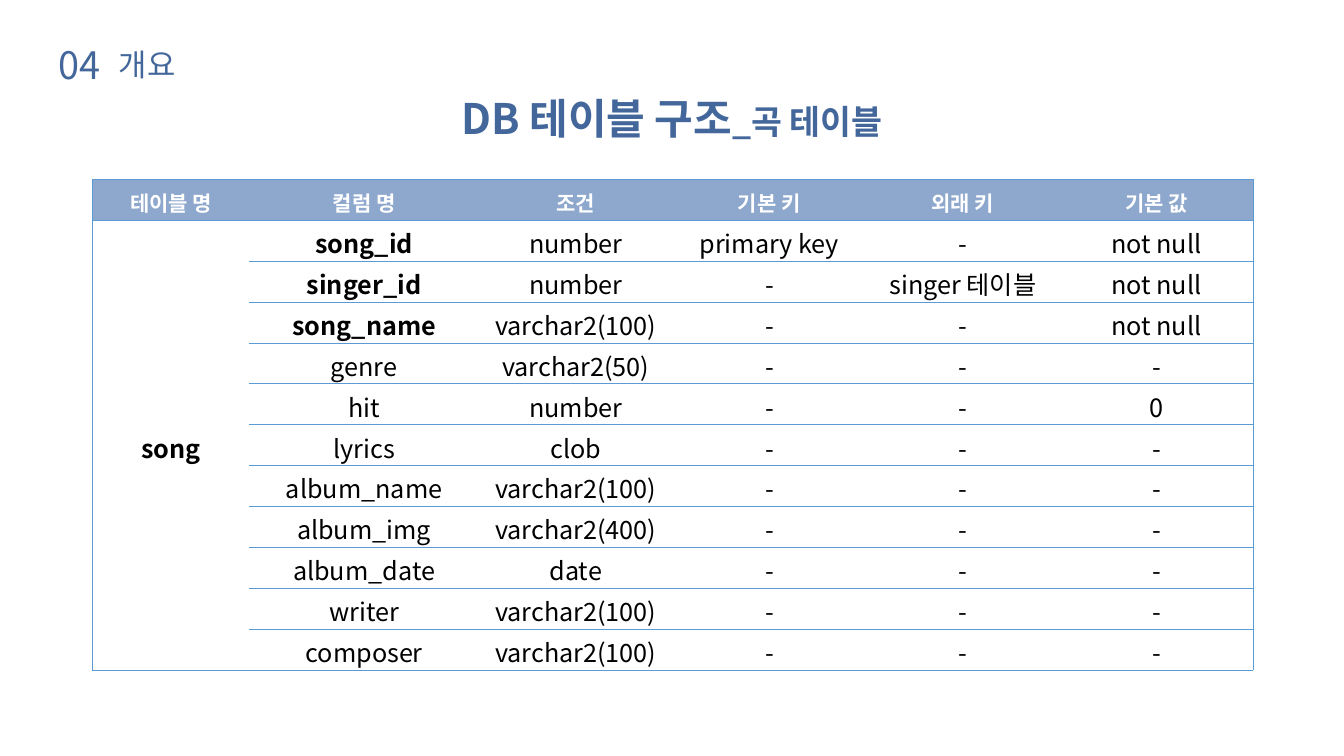
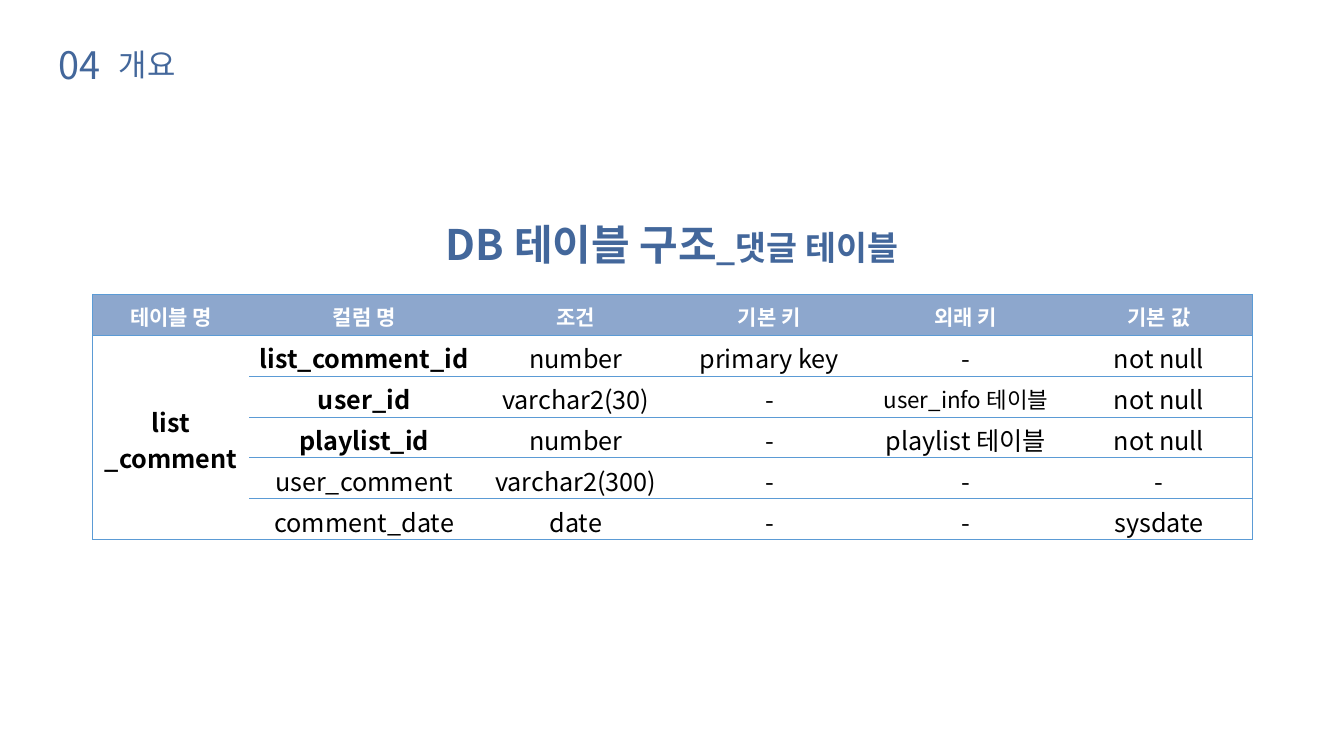
from dataclasses import dataclass

from lxml import etree
from pptx import Presentation
from pptx import util as u
from pptx.dml.color import RGBColor
from pptx.enum import text
from pptx.oxml import ns


@dataclass(frozen=True)
class Theme:
    font: str = "Noto Sans CJK KR"
    blue: str = "43679B"
    edge: str = "2B538E"
    band: str = "8DA7CD"
    rule: str = "5B9BD5"
    white: str = "FFFFFF"
    black: str = "000000"
    number: int = 27
    label: int = 22
    title: int = 30
    topic: int = 24
    head: int = 15
    body: int = 18
    small: int = 16


@dataclass(frozen=True)
class Box:
    left: float
    top: float
    width: float
    height: float


@dataclass(frozen=True)
class Field:
    name: str
    kind: str
    key: str = "-"
    link: str = "-"
    value: str = "-"
    bold: bool = False
    size: int = 18


@dataclass(frozen=True)
class Page:
    topic: str
    table: str
    top: float
    start: float
    widths: tuple[float, ...]
    fields: tuple[Field, ...]


THEME = Theme()
WIDTH, HEIGHT = u.Inches(13.33), u.Inches(7.5)
COL, ROW = WIDTH / 100, HEIGHT / 100
LEFT, STEP = 6.9, 5.41
HEADS = ("테이블 명", "컬럼 명", "조건", "기본 키", "외래 키", "기본 값")

PAGES = (
    Page("곡", "song", 12.27, 23.73, (11.65, 17.1, 14.4, 14.4, 14.4, 14.4), (
        Field("song_id", "number", key="primary key", value="not null", bold=True),
        Field("singer_id", "number", link="singer 테이블", value="not null", bold=True),
        Field("song_name", "varchar2(100)", value="not null", bold=True),
        Field("genre", "varchar2(50)"),
        Field("hit", "number", value="0"),
        Field("lyrics", "clob"),
        Field("album_name", "varchar2(100)"),
        Field("album_img", "varchar2(400)"),
        Field("album_date", "date"),
        Field("writer", "varchar2(100)"),
        Field("composer", "varchar2(100)"),
    )),
    Page("댓글", "list\n_comment", 28.93, 38.93, (11.65, 17.1, 14.4, 14.4, 14.85, 13.9), (
        Field("list_comment_id", "number", key="primary key", value="not null", bold=True),
        Field("user_id", "varchar2(30)", link="user_info 테이블", value="not null",
              bold=True, size=THEME.small),
        Field("playlist_id", "number", link="playlist 테이블", value="not null", bold=True),
        Field("user_comment", "varchar2(300)"),
        Field("comment_date", "date", value="sysdate"),
    )),
)


def across(cols: float) -> int:
    return round(cols * COL)


def down(rows: float) -> int:
    return round(rows * ROW)


def style(run, size: int, color: str, bold: bool = False) -> None:
    font = run.font
    font.size, font.bold, font.name = u.Pt(size), bold, THEME.font
    font.color.rgb = RGBColor.from_string(color)
    latin = run._r.get_or_add_rPr().find(ns.qn("a:latin"))
    east = etree.Element(ns.qn("a:ea"), typeface=THEME.font)
    latin.addnext(east)


def trim(run) -> None:
    line = etree.Element(ns.qn("a:ln"), w=str(u.Pt(0.75)))
    fill = etree.SubElement(line, ns.qn("a:solidFill"))
    color = etree.SubElement(fill, ns.qn("a:srgbClr"), val=THEME.edge)
    etree.SubElement(color, ns.qn("a:alpha"), val="20000")
    run._r.get_or_add_rPr().insert(0, line)


def place(shape, box: Box, wrap: bool = True):
    shape.left, shape.top = across(box.left), down(box.top)
    shape.width, shape.height = across(box.width), down(box.height)
    frame = shape.text_frame
    frame.word_wrap = wrap
    frame.auto_size = text.MSO_AUTO_SIZE.SHAPE_TO_FIT_TEXT
    frame.vertical_anchor = text.MSO_ANCHOR.TOP
    frame.margin_left = frame.margin_right = u.Inches(0.1)
    frame.margin_top = frame.margin_bottom = 0
    return frame


def add_label(slide, words: str, box: Box, size: int, wrap: bool) -> None:
    frame = place(slide.shapes.add_textbox(0, 0, 0, 0), box, wrap)
    frame.text = words
    run = frame.paragraphs[0].runs[0]
    style(run, size, THEME.blue)
    trim(run)


def add_title(slide, page: Page) -> None:
    frame = place(slide.shapes.title, Box(25.06, page.top, 49.88, 8.13))
    frame.text = "DB 테이블 구조"
    para = frame.paragraphs[0]
    para.alignment = text.PP_ALIGN.CENTER
    para.add_run().text = f"_{page.topic} 테이블"
    for run, size in zip(para.runs, (THEME.title, THEME.topic)):
        style(run, size, THEME.blue, True)
        trim(run)


def add_rules(cell, sides: str) -> None:
    props = cell._tc.get_or_add_tcPr()
    for side in "LRTB":
        line = etree.SubElement(props, ns.qn(f"a:ln{side}"), w=str(u.Pt(0.5)))
        if side in sides:
            fill = etree.SubElement(line, ns.qn("a:solidFill"))
            etree.SubElement(fill, ns.qn("a:srgbClr"), val=THEME.rule)
        else:
            etree.SubElement(line, ns.qn("a:noFill"))


def find_sides(row: int, col: int, last: int) -> str:
    sides = "L" if col == 0 else "R" if col == len(HEADS) - 1 else ""
    if col or row < 2:
        sides += "T"
    if col or row in (0, 1, last):
        sides += "B"
    return sides


def write(cell, words: str, size: int, color: str, bold: bool) -> None:
    cell.vertical_anchor = text.MSO_ANCHOR.MIDDLE
    cell.margin_top, cell.margin_bottom = u.Inches(0.04), 0
    cell.text_frame.text = words
    for para in cell.text_frame.paragraphs:
        para.alignment = text.PP_ALIGN.CENTER
        for run in para.runs:
            style(run, size, color, bold)


def add_grid(slide, page: Page) -> None:
    count = len(page.fields) + 1
    table = slide.shapes.add_table(
        count, len(HEADS), across(LEFT), down(page.start),
        across(sum(page.widths)), down(STEP * count)).table
    table.horz_banding = False
    for column, width in zip(table.columns, page.widths):
        column.width = across(width)
    for row in range(count):
        table.rows[row].height = down(STEP)
        for col in range(len(HEADS)):
            cell = table.cell(row, col)
            add_rules(cell, find_sides(row, col, count - 1))
            if row == 0:
                cell.fill.solid()
                cell.fill.fore_color.rgb = RGBColor.from_string(THEME.band)
            else:
                cell.fill.background()
    table.cell(1, 0).merge(table.cell(count - 1, 0))
    for col, head in enumerate(HEADS):
        write(table.cell(0, col), head, THEME.head, THEME.white, True)
    write(table.cell(1, 0), page.table, THEME.body, THEME.black, True)
    for row, field in enumerate(page.fields, 1):
        items = (field.name, field.kind, field.key, field.link, field.value)
        for col, item in enumerate(items, 1):
            size = field.size if item == field.link else THEME.body
            write(table.cell(row, col), item, size, THEME.black,
                  field.bold and col == 1)


def add_page(deck, page: Page) -> None:
    slide = deck.slides.add_slide(deck.slide_layouts[5])
    add_label(slide, "04", Box(3.6, 5.47, 5.18, 7.47), THEME.number, False)
    add_label(slide, "개요", Box(8.1, 6, 5.85, 6.27), THEME.label, True)
    add_title(slide, page)
    add_grid(slide, page)


def main() -> None:
    deck = Presentation()
    deck.slide_width, deck.slide_height = WIDTH, HEIGHT
    for page in PAGES:
        add_page(deck, page)
    deck.save("out.pptx")


if __name__ == "__main__":
    main()
